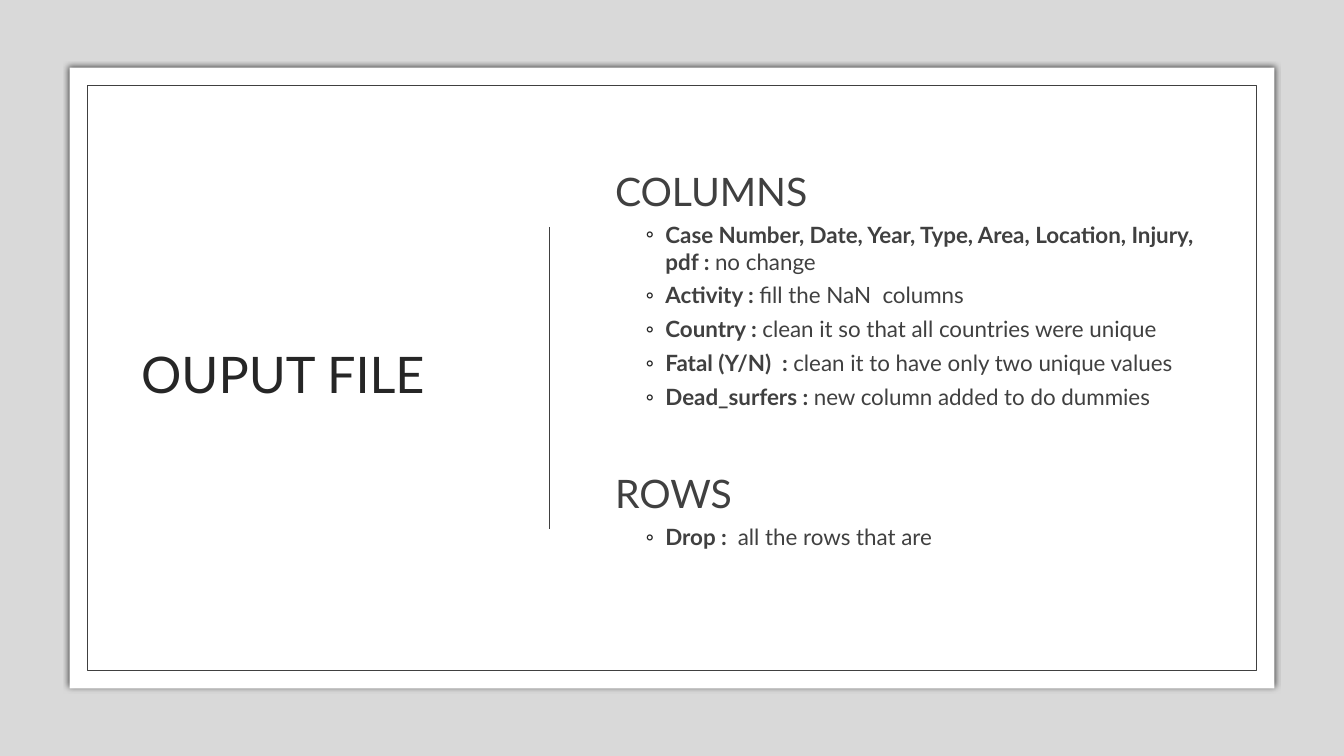
from dataclasses import dataclass

from lxml import etree
from pptx import Presentation
from pptx.dml.color import RGBColor
from pptx.enum.shapes import MSO_CONNECTOR, MSO_SHAPE
from pptx.enum.text import MSO_ANCHOR, MSO_AUTO_SIZE, PP_ALIGN
from pptx.oxml.ns import qn
from pptx.util import Inches, Pt

RECTANGLE = MSO_SHAPE.RECTANGLE
STRAIGHT = MSO_CONNECTOR.STRAIGHT
MIDDLE = MSO_ANCHOR.MIDDLE
NO_AUTOFIT = MSO_AUTO_SIZE.NONE
LEFT = PP_ALIGN.LEFT

FONT = "Lato"
COLORS = {
    "backdrop": "D9D9D9",
    "card": "FFFFFF",
    "text": "404040",
    "title": "262626",
    "shadow": "000000",
}


@dataclass
class Panel:
    left: float
    top: float
    width: float
    height: float
    fill: str
    outlined: bool = False
    shadowed: bool = False


@dataclass
class Section:
    heading: str
    space_before: float
    items: list[tuple[str, str]]


PANELS = [
    Panel(0, 0, 13.33, 7.5, "backdrop"),
    Panel(0.69, 0.67, 11.95, 6.16, "card", shadowed=True),
    Panel(0.87, 0.85, 11.59, 5.8, "card", outlined=True),
]
SECTIONS = [
    Section("COLUMNS", 9, [
        ("Case Number, Date, Year, Type, Area, Location, Injury, pdf : ", "no change"),
        ("Activity : ", "fill the NaN  columns"),
        ("Country : ", "clean it so that all countries were unique"),
        ("Fatal (Y/N)  : ", "clean it to have only two unique values"),
        ("Dead_surfers : ", "new column added to do dummies"),
    ]),
    Section("ROWS", 35.6, [("Drop :  ", "all the rows that are")]),
]


def rgb(name: str) -> RGBColor:
    return RGBColor.from_string(COLORS[name])


def add_shadow(sp) -> None:
    effects = sp.element.spPr.find(qn("a:effectLst"))
    shadow = etree.SubElement(effects, qn("a:outerShdw"), blurRad=str(Pt(4)), dist="0", dir="0")
    color = etree.SubElement(shadow, qn("a:srgbClr"), val=COLORS["shadow"])
    etree.SubElement(color, qn("a:alpha"), val="66000")


def add_panel(s, panel: Panel) -> None:
    box = (panel.left, panel.top, panel.width, panel.height)
    sp = s.shapes.add_shape(RECTANGLE, *map(Inches, box))
    sp.shadow.inherit = False
    sp.fill.solid()
    sp.fill.fore_color.rgb = rgb(panel.fill)
    if panel.outlined:
        sp.line.color.rgb = rgb("text")
        sp.line.width = Pt(0.5)
    else:
        sp.line.fill.background()
    if panel.shadowed:
        add_shadow(sp)


def add_divider(s) -> None:
    line = s.shapes.add_connector(STRAIGHT, Inches(5.45), Inches(2.25), Inches(5.45), Inches(5.25))
    line.line.color.rgb = rgb("text")
    line.line.width = Pt(1.25)
    etree.SubElement(line.element.spPr, qn("a:effectLst"))


def place(sp, left: float, top: float, width: float, height: float):
    sp.left, sp.top, sp.width, sp.height = map(Inches, (left, top, width, height))
    sp.element.getparent().append(sp.element)
    tf = sp.text_frame
    tf.word_wrap = True
    tf.auto_size = NO_AUTOFIT
    tf.vertical_anchor = MIDDLE
    return tf


def format_run(r, size: float, color: str, bold: bool = False) -> None:
    r.font.name = FONT
    r.font.size = Pt(size)
    r.font.bold = bold
    r.font.color.rgb = rgb(color)


def format_paragraph(p, line_spacing: float, space_before: float) -> None:
    p.alignment = LEFT
    p.line_spacing = line_spacing
    p.space_before = Pt(space_before)
    p.space_after = Pt(0)


def set_bullet(p, char: str = "") -> None:
    pPr = p._p.get_or_add_pPr()
    pPr.set("marL", str(Inches(0.5 if char else 0)))
    pPr.set("indent", str(Inches(-0.2 if char else 0)))
    if char:
        color = etree.SubElement(pPr, qn("a:buClr"))
        etree.SubElement(color, qn("a:srgbClr"), val=COLORS["title"])
        etree.SubElement(pPr, qn("a:buFont"), typeface=FONT)
        etree.SubElement(pPr, qn("a:buChar"), char=char)
    else:
        etree.SubElement(pPr, qn("a:buNone"))


def add_section(tf, section: Section) -> None:
    p = tf.add_paragraph() if tf.text else tf.paragraphs[0]
    p.text = section.heading
    format_paragraph(p, 1.2, section.space_before)
    set_bullet(p)
    format_run(p.runs[0], 28, "text")
    for label, detail in section.items:
        p = tf.add_paragraph()
        p.level = 1
        format_paragraph(p, 1, 5)
        set_bullet(p, "◦")
        for text, bold in ((label, True), (detail, False)):
            r = p.add_run()
            r.text = text
            format_run(r, 16, "text", bold)


def main() -> None:
    prs = Presentation()
    prs.slide_width, prs.slide_height = Inches(13.33), Inches(7.5)
    s = prs.slides.add_slide(prs.slide_layouts[1])
    title, body = s.shapes.title, s.placeholders[1]

    for panel in PANELS:
        add_panel(s, panel)

    tf = place(title, 1.3, 1.55, 3.79, 4.39)
    tf.text = "OUPUT FILE"
    format_paragraph(tf.paragraphs[0], 0.9, 0)
    format_run(tf.paragraphs[0].runs[0], 36, "title")

    add_divider(s)

    tf = place(body, 6, 1.29, 6.03, 4.93)
    tf.margin_bottom = Inches(0.54)
    for section in SECTIONS:
        add_section(tf, section)

    prs.save("out.pptx")


if __name__ == "__main__":
    main()
